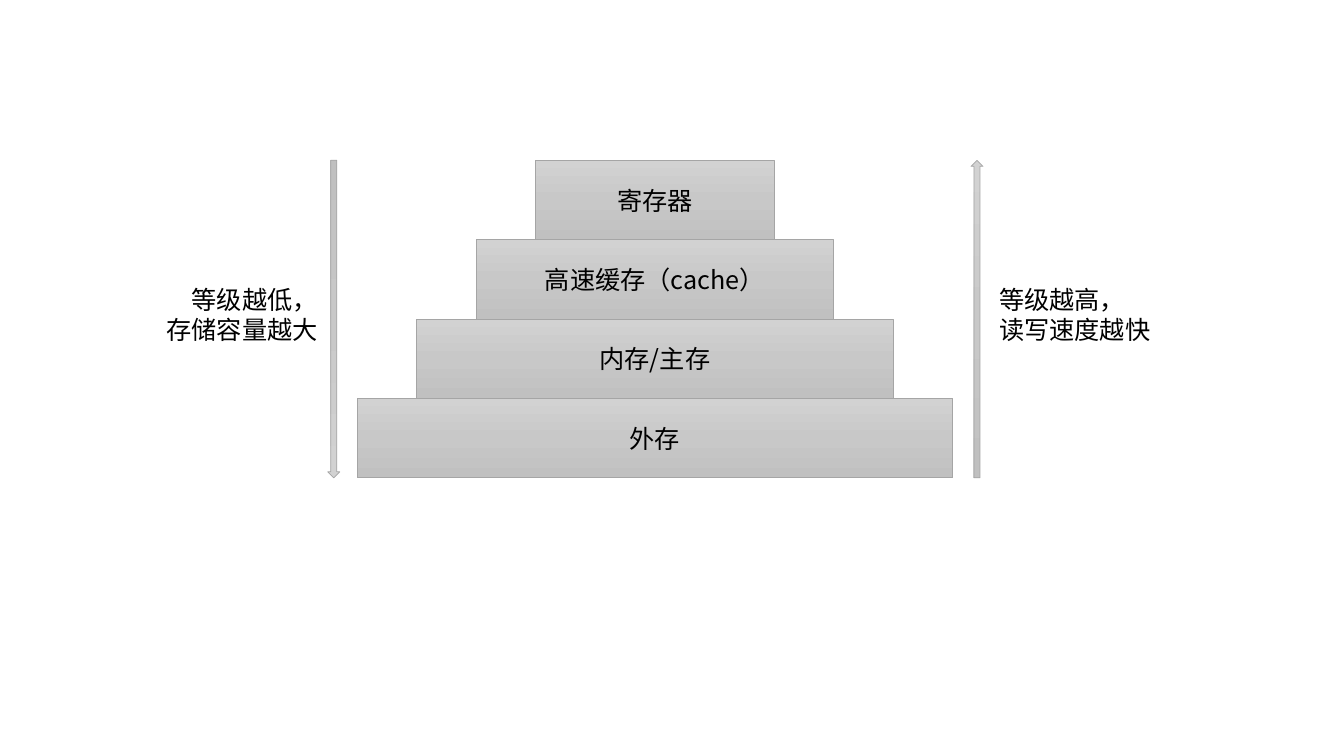
import copy

import lxml.etree
import pptx
import pptx.dml.color
import pptx.enum.shapes
import pptx.enum.text
import pptx.oxml.ns
import pptx.util

PX = 9144  # EMU per px, 100 px to the inch
FONT = "Noto Sans CJK SC"
COLORS = {"top": "D2D2D2", "middle": "C8C8C8", "bottom": "C0C0C0",
          "line": "A5A5A5", "text": "000000"}
LEVELS = ["寄存器", "高速缓存（cache）", "内存/主存", "外存"]
SHAPE = pptx.enum.shapes.MSO_SHAPE
ALIGN = pptx.enum.text.PP_ALIGN


def rgb(name):
    return pptx.dml.color.RGBColor.from_string(COLORS[name])


def emu(*lengths):
    return [pptx.util.Emu(round(v * PX)) for v in lengths]


def write(tf, text, align):
    tf.text = text
    for p in tf.paragraphs:
        p.alignment = align
        for r in p.runs:
            r.font.size = pptx.util.Pt(18)
            r.font.name = FONT
            r.font.color.rgb = rgb("text")
            ea = lxml.etree.SubElement(r.font._element, pptx.oxml.ns.qn("a:ea"))
            ea.set("typeface", FONT)


def add_gray_shape(slide, kind, box):
    sp = slide.shapes.add_shape(kind, *emu(*box))
    sp.shadow.inherit = False
    sp.fill.gradient()
    sp.fill.gradient_angle = 270
    # The default gradient has two stops; add a middle one
    first = next(sp._element.spPr.iter(pptx.oxml.ns.qn("a:gs")))
    first.addnext(copy.deepcopy(first))
    for i, (stop, name) in enumerate(zip(sp.fill.gradient_stops,
                                         ("top", "middle", "bottom"))):
        stop.position = i / 2
        stop.color.rgb = rgb(name)
    sp.line.color.rgb = rgb("line")
    sp.line.width = pptx.util.Pt(0.5)
    return sp


def add_pyramid(slide, box):
    left, top, width, height = box
    count = len(LEVELS)
    step = height / count
    # Widest level at the back, each one above narrower by an equal amount
    for i in reversed(range(count)):
        w = width * (i + 2) / (count + 1)
        sp = add_gray_shape(slide, SHAPE.RECTANGLE,
                            (left + (width - w) / 2, top + i * step, w, step))
        sp.text_frame.vertical_anchor = pptx.enum.text.MSO_ANCHOR.MIDDLE
        write(sp.text_frame, LEVELS[i], ALIGN.CENTER)


def add_arrow(slide, box, rotation):
    add_gray_shape(slide, SHAPE.UP_ARROW, box).rotation = rotation


def add_note(slide, box, text, align):
    tf = slide.shapes.add_textbox(*emu(*box)).text_frame
    tf.word_wrap = True
    tf.auto_size = pptx.enum.text.MSO_AUTO_SIZE.SHAPE_TO_FIT_TEXT
    write(tf, text, align)


def main():
    prs = pptx.Presentation()
    prs.slide_width, prs.slide_height = emu(1333, 750)
    slide = prs.slides.add_slide(prs.slide_layouts[6])

    # Storage levels
    add_pyramid(slide, (354, 159, 591, 315))

    # Speed rises upwards, capacity grows downwards
    add_arrow(slide, (963, 159, 12, 315), 0)
    add_arrow(slide, (325, 159, 12, 315), 180)
    add_note(slide, (981, 277, 225, 71), "等级越高，\n读写速度越快", ALIGN.LEFT)
    add_note(slide, (100, 277, 225, 71), "等级越低，\n存储容量越大", ALIGN.RIGHT)

    prs.save("out.pptx")


if __name__ == "__main__":
    main()
